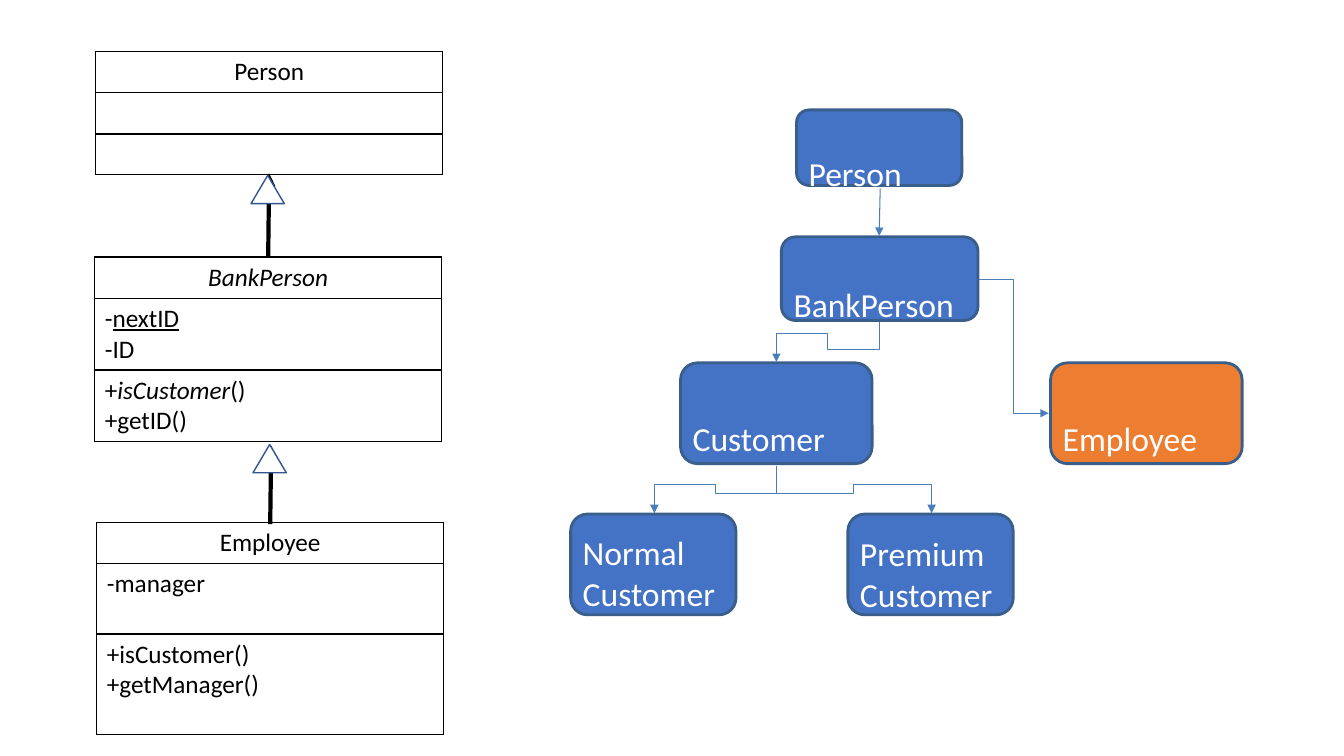
import pptx
import pptx.util
import pptx.dml.color
import pptx.enum.shapes
import pptx.enum.text
import pptx.oxml
import pptx.oxml.ns

Inches, Pt = pptx.util.Inches, pptx.util.Pt
RGBColor = pptx.dml.color.RGBColor
SHAPE = pptx.enum.shapes.MSO_SHAPE
CONNECTOR = pptx.enum.shapes.MSO_CONNECTOR

BLACK = RGBColor(0, 0, 0)
WHITE = RGBColor(255, 255, 255)
BLUE = RGBColor(0x44, 0x72, 0xC4)
ORANGE = RGBColor(0xED, 0x7D, 0x31)
BOX_EDGE = RGBColor(0x3A, 0x5E, 0x8A)
ARROW_BLUE = RGBColor(0x4A, 0x7E, 0xBB)
TRIANGLE_EDGE = RGBColor(0x32, 0x54, 0x91)
FONT = "Calibri"

# Class diagram: left, top, row heights, cells; a cell is a list of lines,
# a line is a list of (text, style) with style "", "i" or "u"
CLASS_WIDTH = 3.44
CLASSES = [
    (0.95, 0.51, [0.41, 0.41, 0.4], [[[("Person", "")]], [], []]),
    (0.94, 2.55, [0.41, 0.7, 0.7], [
        [[("BankPerson", "i")]],
        [[("-", ""), ("nextID", "u")], [("-ID", "")]],
        [[("+", ""), ("isCustomer", "i"), ("()", "")], [("+getID()", "")]],
    ]),
    (0.96, 5.18, [0.41, 0.7, 1.0], [
        [[("Employee", "")]],
        [[("-manager", "")]],
        [[("+isCustomer()", "")], [("+getManager()", "")]],
    ]),
]

# Inheritance: line start, line end, triangle left and top
INHERITANCE = [
    ((2.66, 2.55), (2.67, 1.72), (2.49, 1.74)),
    ((2.68, 5.2), (2.69, 4.42), (2.51, 4.41)),
]

# Tree boxes: lines, left, top, width, height, fill, drop of the label
TREE = [
    (["Person"], 7.9, 1.09, 1.64, 0.75, BLUE, 0.38),
    (["BankPerson"], 7.75, 2.35, 1.95, 0.83, BLUE, 0.42),
    (["Customer"], 6.75, 3.6, 1.9, 1.0, BLUE, 0.5),
    (["Employee"], 10.42, 3.6, 1.9, 1.0, ORANGE, 0.5),
    (["Normal", "Customer"], 5.66, 5.1, 1.64, 1.0, BLUE, 0.13),
    (["Premium", "Customer"], 8.41, 5.1, 1.64, 1.0, BLUE, 0.14),
]
LABEL_INSET = 0.07
STEP = 0.28  # vertical run at both ends of a stepped arrow
STEPPED_ARROWS = [
    ((8.72, 3.19), (7.7, 3.59)),
    ((7.7, 4.62), (6.49, 5.09)),
    ((7.7, 4.62), (9.24, 5.09)),
]
PLAIN_ARROWS = [
    (CONNECTOR.STRAIGHT, (8.73, 1.87), (8.72, 2.34)),
    (CONNECTOR.ELBOW, (9.71, 2.77), (10.4, 4.1)),
]


def add_element(parent, tag, **attributes):
    element = pptx.oxml.parse_xml(f"<a:{tag} {pptx.oxml.ns.nsdecls('a')}/>")
    for name, value in attributes.items():
        element.set(name, value)
    parent.append(element)
    return element


def style_arrow(arrow, color, points):
    arrow.line.color.rgb = color
    arrow.line.width = Pt(points)
    add_element(arrow.line._get_or_add_ln(), "tailEnd", type="triangle")


def add_arrow(page, kind, start, end, color, points):
    arrow = page.shapes.add_connector(kind, *map(Inches, start + end))
    style_arrow(arrow, color, points)
    add_element(arrow._element.spPr, "effectLst")


def add_stepped_arrow(page, start, end):
    (x1, y1), (x2, y2) = start, end
    middle = (x1 + x2) / 2
    bends = [(x1, y1 + STEP), (middle, y1 + STEP),
             (middle, y2 - STEP), (x2, y2 - STEP), end]
    builder = page.shapes.build_freeform(Inches(x1), Inches(y1))
    builder.add_line_segments([(Inches(x), Inches(y)) for x, y in bends], close=False)
    arrow = builder.convert_to_shape()
    arrow.shadow.inherit = False
    arrow.fill.background()
    style_arrow(arrow, ARROW_BLUE, 0.75)


def add_filled(page, kind, area, fill, edge, points):
    shape = page.shapes.add_shape(kind, *map(Inches, area))
    shape.shadow.inherit = False
    shape.fill.solid()
    shape.fill.fore_color.rgb = fill
    shape.line.color.rgb = edge
    shape.line.width = Pt(points)
    return shape


def set_font(font, size, color):
    font.name, font.size, font.color.rgb = FONT, Pt(size), color


def add_tree_box(page, lines, left, top, width, height, fill, drop):
    box = add_filled(page, SHAPE.ROUNDED_RECTANGLE, (left, top, width, height),
                     fill, BOX_EDGE, 2)
    box.adjustments[0] = 0.167
    label = page.shapes.add_textbox(
        Inches(left + LABEL_INSET), Inches(top + drop),
        Inches(width - 2 * LABEL_INSET), Inches(0.1 + 0.4 * len(lines)))
    frame = label.text_frame
    frame.word_wrap = True
    frame.margin_left = frame.margin_right = Inches(0.05)
    frame.margin_top = frame.margin_bottom = Inches(0.05)
    frame.text = "\n".join(lines)
    for para in frame.paragraphs:
        set_font(para.font, 24, WHITE)


def fill_cell(cell, lines, centered):
    cell.fill.background()
    frame = cell.text_frame
    for number, line in enumerate(lines):
        para = frame.add_paragraph() if number else frame.paragraphs[0]
        set_font(para.font, 18, BLACK)
        if centered:
            para.alignment = pptx.enum.text.PP_ALIGN.CENTER
        for text, style in line:
            span = para.add_run()
            span.text = text
            if style == "i":
                span.font.italic = True
            elif style == "u":
                span.font.underline = True
    # Borders come before the fill in the cell properties
    properties = cell._tc.get_or_add_tcPr()
    for position, side in enumerate(("lnL", "lnR", "lnT", "lnB")):
        border = add_element(properties, side, w=str(Pt(1)))
        add_element(add_element(border, "solidFill"), "srgbClr", val=str(BLACK))
        properties.insert(position, border)


def add_class(page, left, top, heights, cells):
    table = page.shapes.add_table(
        len(cells), 1, Inches(left), Inches(top),
        Inches(CLASS_WIDTH), Inches(sum(heights))).table
    table.first_row = table.horz_banding = False
    for number, (height, lines) in enumerate(zip(heights, cells)):
        table.rows[number].height = Inches(height)
        fill_cell(table.cell(number, 0), lines, centered=number == 0)


def main():
    deck = pptx.Presentation()
    deck.slide_width, deck.slide_height = Inches(13.33), Inches(7.5)
    page = deck.slides.add_slide(deck.slide_layouts[6])

    # Class diagram
    for entry in CLASSES:
        add_class(page, *entry)
    for start, end, corner in INHERITANCE:
        add_arrow(page, CONNECTOR.STRAIGHT, start, end, BLACK, 3)
        add_filled(page, SHAPE.ISOSCELES_TRIANGLE, corner + (0.33, 0.28),
                   WHITE, TRIANGLE_EDGE, 1)

    # Class tree
    for entry in TREE:
        add_tree_box(page, *entry)
    for start, end in STEPPED_ARROWS:
        add_stepped_arrow(page, start, end)
    for kind, start, end in PLAIN_ARROWS:
        add_arrow(page, kind, start, end, ARROW_BLUE, 0.75)

    deck.save("out.pptx")


if __name__ == "__main__":
    main()
